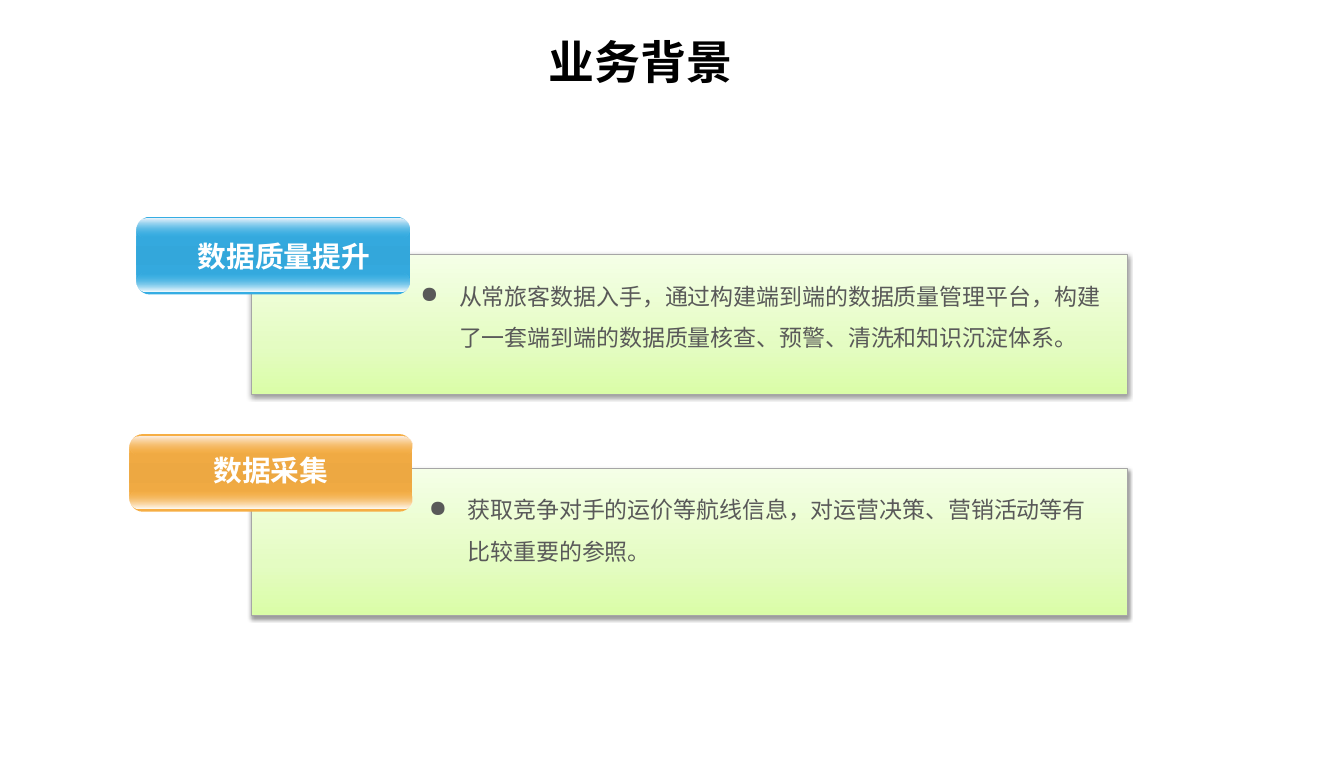
from pptx import Presentation
from pptx.dml.color import RGBColor
from pptx.enum.shapes import MSO_SHAPE as Shape
from pptx.enum.text import MSO_ANCHOR as Anchor, PP_ALIGN as Align
from pptx.oxml import parse_xml
from pptx.oxml.ns import nsdecls
from pptx.util import Cm, Pt

FONT = "Arial"
CJK_FONT = "Noto Sans CJK SC"


def add_gradient_shape(kind, left, top, width, height, stops, angle):
    """Add a lineless, shadowless shape; stops are (percent, hex, opacity percent)."""
    shape = page.shapes.add_shape(kind, Cm(left), Cm(top), Cm(width), Cm(height))
    shape.shadow.inherit = False
    shape.line.fill.background()
    marks = "".join(
        f'<a:gs pos="{pos * 1000}"><a:srgbClr val="{color}">'
        f'<a:alpha val="{opacity * 1000}"/></a:srgbClr></a:gs>'
        for pos, color, opacity in stops)
    shape._element.spPr.insert(2, parse_xml(
        f'<a:gradFill {nsdecls("a")} rotWithShape="1"><a:gsLst>{marks}</a:gsLst>'
        f'<a:lin ang="{angle * 60000}" scaled="0"/></a:gradFill>'))
    return shape


def format_text(shape, text, size, color, bold, font):
    frame = shape.text_frame
    frame.word_wrap = True
    para = frame.paragraphs[0]
    para.text = text
    para.font.size, para.font.bold, para.font.name = Pt(size), bold, font
    para.font.color.rgb = RGBColor.from_string(color)
    return para


deck = Presentation()
deck.slide_width, deck.slide_height = Cm(33.02), Cm(19.05)
page = deck.slides.add_slide(deck.slide_layouts[5])

title = page.shapes.title
title.left, title.top, title.width, title.height = Cm(1.7), Cm(0.74), Cm(28.07), Cm(1.52)
title.text_frame.vertical_anchor = Anchor.MIDDLE
format_text(title, "业务背景", 32, "000000", True, CJK_FONT).alignment = Align.CENTER

# panel (top, height), tab (left, top, width), label (left, top, width),
# body (left, top, width), tab colours (edge, middle, shine), texts
sections = [
    ((6.25, 3.45), (3.35, 5.33, 6.73), (4.04, 5.74, 5.87), (10.08, 6.48, 17.42),
     ("35ADE3", "33A7DB", "EDF4FB"), "数据质量提升",
     "从常旅客数据入手，通过构建端到端的数据质量管理平台，构建了一套端到端的数据质量核查、预警、清洗和知识沉淀体系。"),
    ((11.51, 3.61), (3.18, 10.67, 6.96), (3.33, 11.0, 6.65), (10.29, 11.73, 16.84),
     ("F6AE44", "EDA842", "FDEEE2"), "数据采集",
     "获取竞争对手的运价等航线信息，对运营决策、营销活动等有比较重要的参照。"),
]

for panel_place, tab_place, label_place, body_place, colors, heading, text in sections:
    panel_top, panel_height = panel_place
    panel = add_gradient_shape(
        Shape.RECTANGLE, 6.17, panel_top, 21.54, panel_height,
        [(0, "DAFDA7", 100), (35, "E4FCC2", 100), (100, "F5FFE7", 100)], 270)
    panel.line.color.rgb = RGBColor.from_string("A6A6A6")
    panel.line.width = Pt(0.75)
    panel._element.spPr.find("{*}effectLst").append(parse_xml(
        f'<a:outerShdw {nsdecls("a")} blurRad="{Pt(3.1)}" dist="{Pt(1.6)}" dir="5400000" '
        'rotWithShape="0"><a:srgbClr val="000000"><a:alpha val="38000"/></a:srgbClr>'
        '</a:outerShdw>'))

    left, top, width = tab_place
    edge, middle, shine = colors
    tab = add_gradient_shape(Shape.ROUNDED_RECTANGLE, left, top, width, 1.91,
                             [(0, edge, 100), (50, middle, 100), (100, edge, 100)], 90)
    tab.adjustments[0] = 0.175
    for offset, stops in [(1.37, [(0, edge, 0), (100, "FFFFFF", 100)]),
                          (0.05, [(0, shine, 100), (100, edge, 0)])]:
        gloss = add_gradient_shape(Shape.ROUNDED_RECTANGLE, left + 0.01, top + offset,
                                   width - 0.02, 0.46, stops, 90)
        gloss.adjustments[0] = 0.5

    left, top, width = label_place
    label = page.shapes.add_textbox(Cm(left), Cm(top), Cm(width), Cm(1.11))
    format_text(label, heading, 20, "FFFFFF", True, FONT).alignment = Align.CENTER

    left, top, width = body_place
    body = page.shapes.add_textbox(Cm(left), Cm(top), Cm(width), Cm(2.31))
    bullet_props = body.text_frame.paragraphs[0]._p.get_or_add_pPr()
    bullet_props.set("marL", str(Cm(0.95)))
    bullet_props.set("indent", str(-Cm(0.95)))
    bullet_props.append(parse_xml(f'<a:buChar {nsdecls("a")} char="●"/>'))
    format_text(body, text, 16, "595959", False, FONT).line_spacing = 1.5

deck.save("out.pptx")
